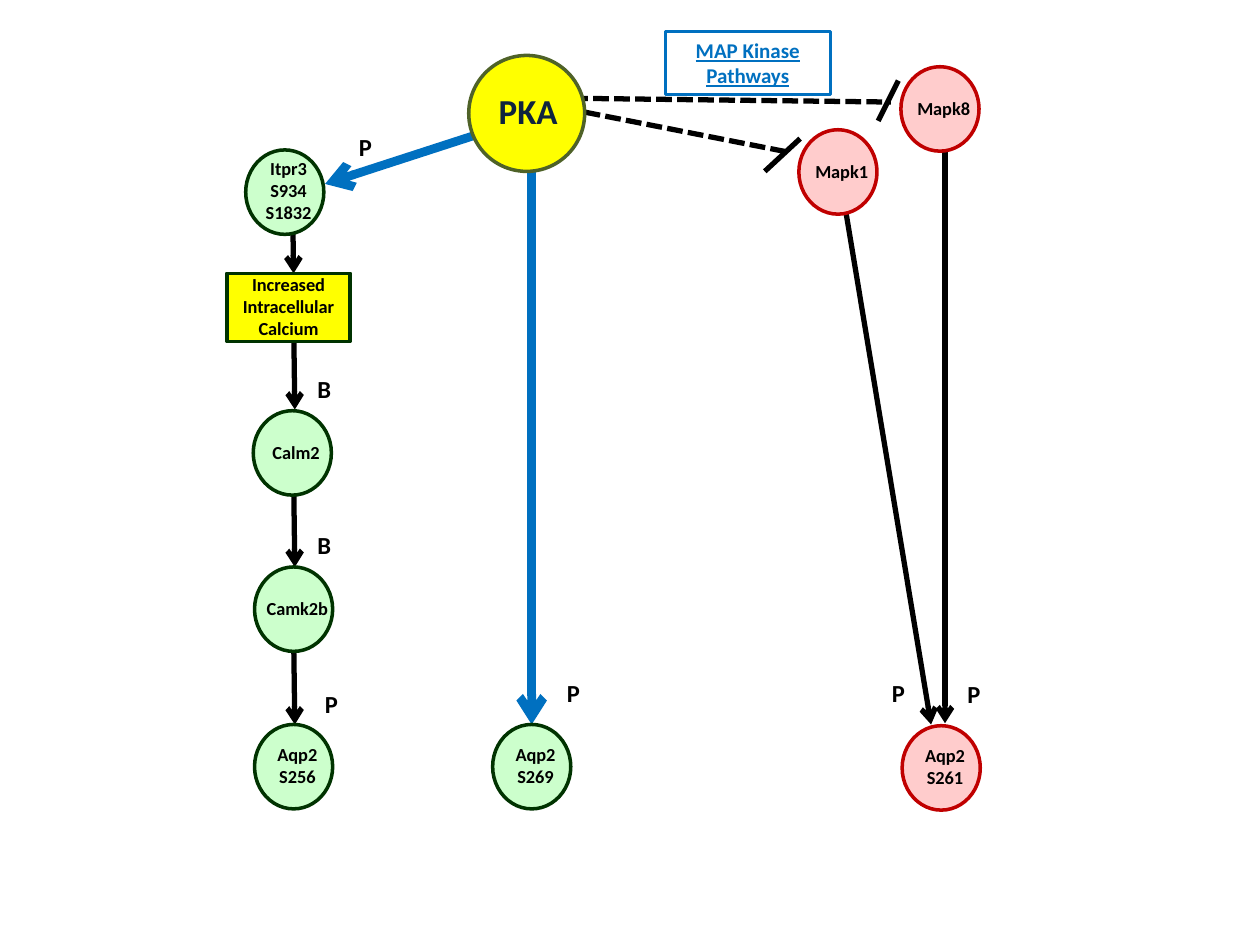
from dataclasses import dataclass

from lxml import etree
from pptx import Presentation
from pptx.dml.color import RGBColor
from pptx.enum.dml import MSO_LINE
from pptx.enum.shapes import MSO_CONNECTOR, MSO_SHAPE
from pptx.enum.text import MSO_AUTO_SIZE, PP_ALIGN
from pptx.oxml.ns import qn
from pptx.util import Emu, Pt

OVAL, RECT = MSO_SHAPE.OVAL, MSO_SHAPE.RECTANGLE
STRAIGHT = MSO_CONNECTOR.STRAIGHT
DASH = MSO_LINE.SQUARE_DOT
LEFT, CENTER = PP_ALIGN.LEFT, PP_ALIGN.CENTER
GROW = MSO_AUTO_SIZE.SHAPE_TO_FIT_TEXT
EMU_PER_PX = 9144  # 100 px to the inch


@dataclass(frozen=True)
class Theme:
    font: str = "Calibri"
    black: str = "000000"
    blue: str = "0070C0"
    yellow: str = "FFFF00"
    green_fill: str = "CCFFCC"
    green_line: str = "003300"
    red_fill: str = "FFCCCC"
    red_line: str = "C00000"
    olive: str = "4F6228"
    navy: str = "0F243E"
    node_size: float = 10.5
    heading_size: int = 12
    mark_size: int = 14
    kinase_size: int = 20
    outline: int = 2
    thin: float = 1.5
    step: int = 3
    main_step: int = 5


THEME = Theme()
ACTIVATED = (THEME.green_fill, THEME.green_line)
INHIBITED = (THEME.red_fill, THEME.red_line)
NODE_W, NODE_H = 62, 67
LABEL_W = 142

# left, top, lines of the label, colours
PROTEINS = [
    (195, 119, ["Itpr3", "S934", "S1832"], ACTIVATED),
    (201, 326, ["Calm2"], ACTIVATED),
    (202, 450, ["Camk2b"], ACTIVATED),
    (202, 575, ["Aqp2", "S256"], ACTIVATED),
    (391, 575, ["Aqp2", "S269"], ACTIVATED),
    (634, 103, ["Mapk1"], INHIBITED),
    (715, 53, ["Mapk8"], INHIBITED),
    (716, 576, ["Aqp2", "S261"], INHIBITED),
]
# start x, y, end x, y
CALCIUM_STEPS = [(232, 142, 233, 217)] + [
    (233, top, 234, top + 75) for top in (250, 375, 500)
]
MAPK_STEPS = [(668, 148, 739, 575), (750, 120, 750, 574)]
PKA_STEPS = [(422, 103, 422, 575), (375, 108, 258, 146)]
INHIBITIONS = [(464, 89, 627, 121), (454, 78, 707, 81)]
INHIBITION_BARS = [(635, 110, 607, 136), (713, 64, 697, 96)]
# P: phosphorylation, B: binding
MARKS = [
    ("P", 275, 100), ("B", 242, 292), ("B", 242, 416), ("P", 248, 542),
    ("P", 440, 533), ("P", 698, 533), ("P", 758, 534),
]


def px(*lengths):
    return [Emu(length * EMU_PER_PX) for length in lengths]


def rgb(value):
    return RGBColor.from_string(value)


def add_outline(shapes, preset, box, fill, line, width=THEME.outline):
    shape = shapes.add_shape(preset, *px(*box))
    shape.shadow.inherit = False
    if fill:
        shape.fill.solid()
        shape.fill.fore_color.rgb = rgb(fill)
    else:
        shape.fill.background()
    shape.line.color.rgb = rgb(line)
    shape.line.width = Pt(width)
    return shape


def write(shape, lines, size, color, align=CENTER, underline=None):
    frame = shape.text_frame
    frame.word_wrap = True
    frame.auto_size = GROW
    for index, line in enumerate(lines):
        paragraph = frame.add_paragraph() if index else frame.paragraphs[0]
        paragraph.alignment = align
        run = paragraph.add_run()
        run.text = line
        font = run.font
        font.name, font.size = THEME.font, Pt(size)
        font.bold, font.underline = True, underline
        font.color.rgb = rgb(color)


def add_node(slide, preset, box, lines, colors, label_shift=3):
    """Group an outline with a label set slightly below its centre."""
    shapes = slide.shapes.add_group_shape().shapes
    add_outline(shapes, preset, box, *colors)
    left, top, width, height = box
    label_h = 27 + 18 * len(lines)
    label = shapes.add_textbox(*px(
        left + (width - LABEL_W) // 2 + label_shift,
        top + height // 2 + 8 - label_h // 2,
        LABEL_W, label_h,
    ))
    write(label, lines, THEME.node_size, THEME.black)


def add_kinase(slide):
    shapes = slide.shapes.add_group_shape().shapes
    add_outline(shapes, OVAL, (372, 44, 92, 92), THEME.yellow, THEME.olive)
    label = shapes.add_textbox(*px(386, 66, 69, 44))
    label.fill.solid()
    label.fill.fore_color.rgb = rgb(THEME.yellow)
    write(label, ["PKA"], THEME.kinase_size, THEME.navy, LEFT)


def add_heading(slide):
    box = add_outline(slide.shapes, RECT, (528, 25, 131, 50),
                      None, THEME.blue, THEME.thin)
    write(box, ["MAP Kinase Pathways"], THEME.heading_size, THEME.blue,
          underline=True)


def add_mark(slide, letter, left, top):
    mark = slide.shapes.add_textbox(*px(left, top, 52, 34))
    write(mark, [letter], THEME.mark_size, THEME.black, LEFT)


def add_line(slide, ends, color=THEME.black, width=THEME.step,
             dash=None, arrow=False):
    connector = slide.shapes.add_connector(STRAIGHT, *px(*ends))
    line = connector.line
    line.color.rgb = rgb(color)
    line.width = Pt(width)
    if dash:
        line.dash_style = dash
    properties = connector._element.spPr
    if arrow:
        outline = properties.find(qn("a:ln"))
        etree.SubElement(outline, qn("a:tailEnd"), type="arrow")
    etree.SubElement(properties, qn("a:effectLst"))


def main():
    deck = Presentation()
    deck.slide_width, deck.slide_height = px(1000, 750)
    slide = deck.slides.add_slide(deck.slide_layouts[6])

    for ends in CALCIUM_STEPS + MAPK_STEPS:
        add_line(slide, ends, arrow=True)
    for ends in PKA_STEPS:
        add_line(slide, ends, THEME.blue, THEME.main_step, arrow=True)
    for ends in INHIBITIONS:
        add_line(slide, ends, dash=DASH)
    for ends in INHIBITION_BARS:
        add_line(slide, ends)

    add_kinase(slide)
    add_heading(slide)
    for left, top, lines, colors in PROTEINS:
        add_node(slide, OVAL, (left, top, NODE_W, NODE_H), lines, colors)
    add_node(slide, RECT, (180, 217, 98, 54),
             ["Increased", "Intracellular", "Calcium"],
             (THEME.yellow, THEME.green_line), label_shift=0)
    for mark in MARKS:
        add_mark(slide, *mark)

    deck.save("out.pptx")


if __name__ == "__main__":
    main()
